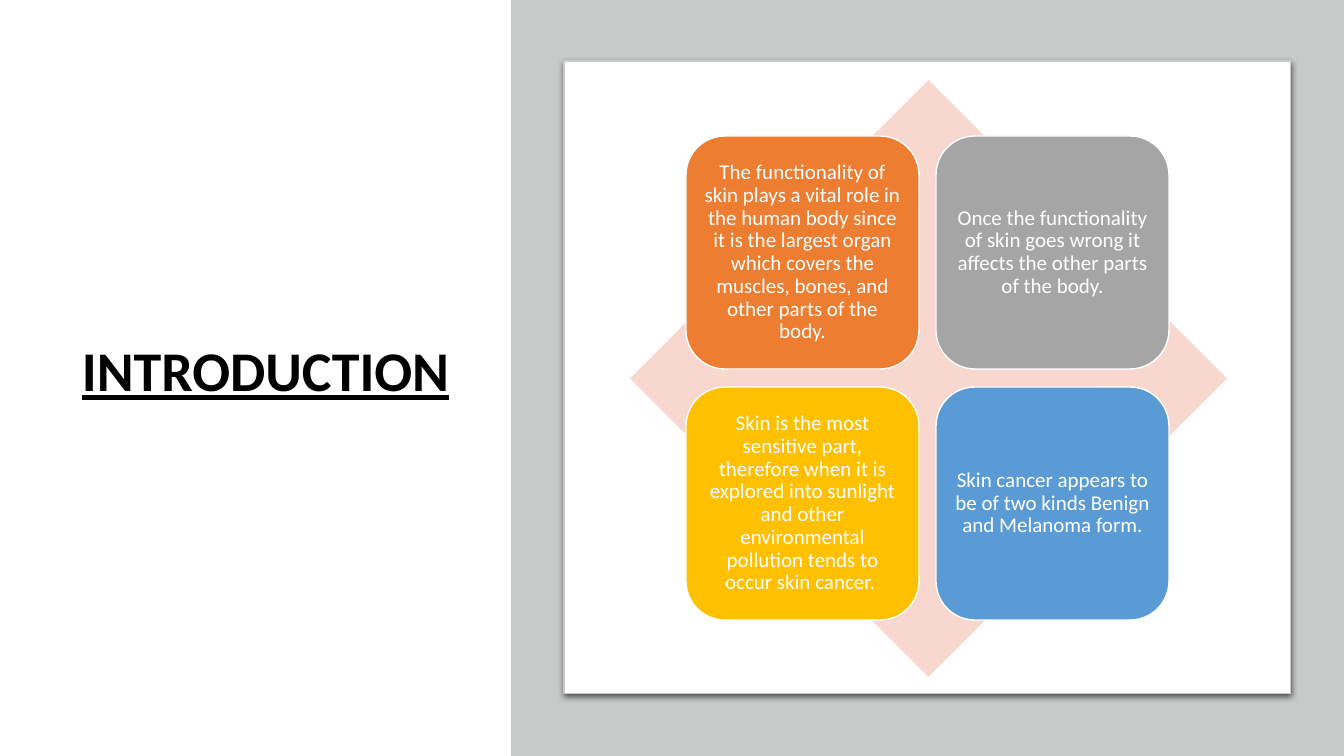
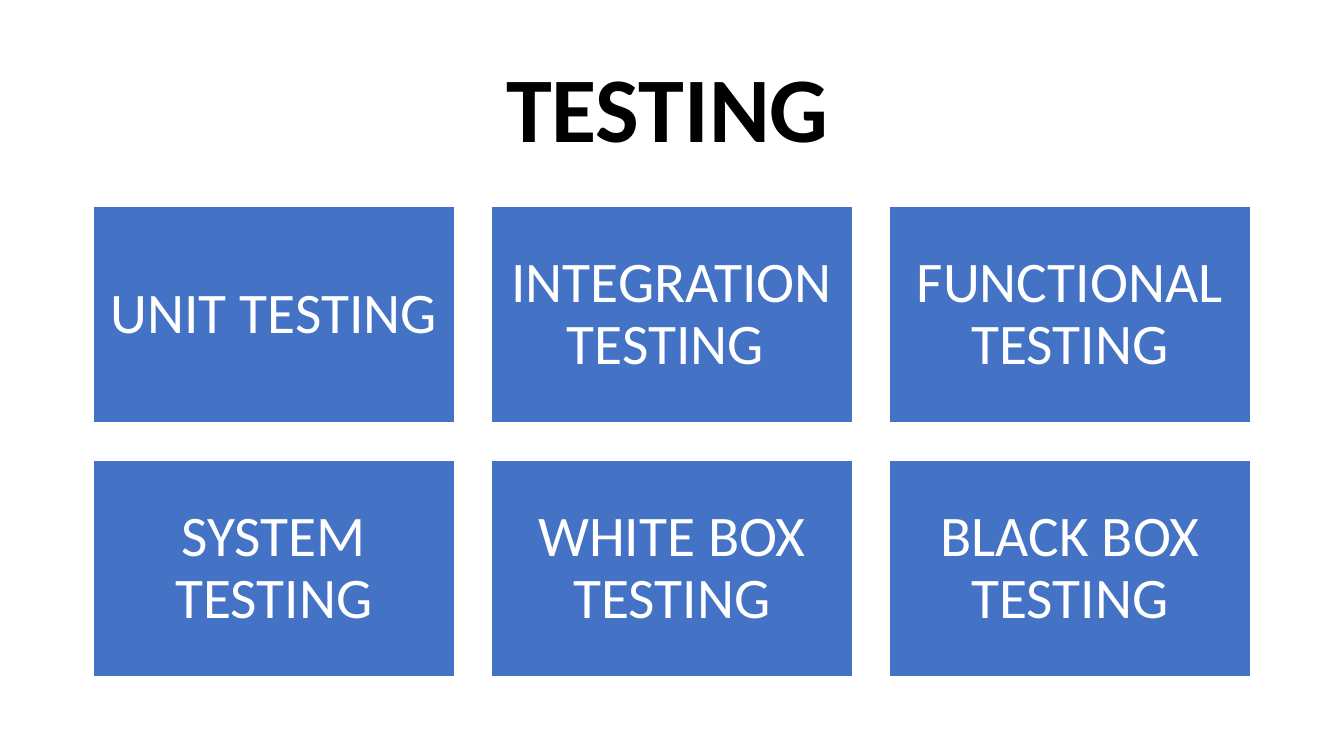
from dataclasses import dataclass

from lxml import etree
from pptx import Presentation
from pptx import util as u
from pptx.dml.color import RGBColor
from pptx.enum import shapes, text
from pptx.oxml import ns

SCALE = 12192000 / 1344
MARGINS = ("margin_left", "margin_top", "margin_right", "margin_bottom")


@dataclass(frozen=True)
class Theme:
    font: str = "Calibri"
    ink: str = "000000"
    paper: str = "FFFFFF"
    band: str = "C8CACA"
    diamond: str = "F8D7CE"
    orange: str = "ED7D31"
    grey: str = "A5A5A5"
    gold: str = "FFC000"
    sky: str = "5B9BD5"
    blue: str = "4472C4"
    side_title: int = 40
    top_title: int = 66
    point: int = 15
    tile: int = 41
    leading: float = 0.9


theme = Theme()
kinds = shapes.MSO_SHAPE
align = text.PP_ALIGN


def draw(page, kind, place, fill, line=None, weight=1):
    box = page.shapes.add_shape(kind, *[u.Emu(round(n * SCALE)) for n in place])
    box.shadow.inherit = False
    box.fill.solid()
    box.fill.fore_color.rgb = RGBColor.from_string(fill)
    if line:
        box.line.color.rgb = RGBColor.from_string(line)
        box.line.width = u.Pt(weight)
    else:
        box.line.fill.background()
    return box


def write(box, words, color, inset, alignment, **font_format):
    frame = box.text_frame
    frame_format = {"word_wrap": True, "vertical_anchor": text.MSO_ANCHOR.MIDDLE}
    frame_format.update(dict.fromkeys(MARGINS, u.Emu(round(inset * SCALE))))
    para = frame.paragraphs[0]
    span = para.add_run()
    span.text = words
    span.font.color.rgb = RGBColor.from_string(color)
    for target, values in (
        (frame, frame_format),
        (para, {"alignment": alignment, "line_spacing": theme.leading}),
        (span.font, {"name": theme.font, **font_format}),
    ):
        for name, value in values.items():
            setattr(target, name, value)


deck = Presentation()
deck.slide_width = u.Emu(round(1344 * SCALE))
deck.slide_height = u.Emu(round(756 * SCALE))
intro, testing = [deck.slides.add_slide(deck.slide_layouts[6]) for _ in range(2)]

titles = (
    (intro, "INTRODUCTION", (72, 70, 404, 607), align.LEFT, theme.side_title, True),
    (testing, "TESTING", (88, 40, 1159, 146), align.CENTER, theme.top_title, False),
)
for page, words, place, alignment, size, underline in titles:
    box = page.shapes.add_textbox(*[u.Emu(round(n * SCALE)) for n in place])
    write(box, words, theme.ink, 10, alignment,
          size=u.Pt(size), bold=True, underline=underline)

draw(intro, kinds.RECTANGLE, (511, 0, 833, 756), theme.band)
card = draw(intro, kinds.RECTANGLE, (564, 61, 727, 633), theme.paper, theme.band, 0.75)
effects = card._element.spPr.find(ns.qn("a:effectLst"))
shadow = etree.SubElement(
    effects, ns.qn("a:outerShdw"),
    blurRad=str(u.Pt(4.5)), dist=str(u.Pt(1.5)), dir="5400000", rotWithShape="0",
)
shade = etree.SubElement(shadow, ns.qn("a:srgbClr"), val=theme.ink)
etree.SubElement(shade, ns.qn("a:alpha"), val="63000")
draw(intro, kinds.DIAMOND, (630, 80, 597, 597), theme.diamond)

points = (
    (theme.orange, "The functionality of skin plays a vital role in the human body since "
                   "it is the largest organ which covers the muscles, bones, and other "
                   "parts of the body."),
    (theme.grey, "Once the functionality of skin goes wrong it affects the other parts "
                 "of the body."),
    (theme.gold, "Skin is the most sensitive part, therefore when it is explored into "
                 "sunlight and other environmental pollution tends to occur skin cancer. "),
    (theme.sky, "Skin cancer appears to be of two kinds Benign and Melanoma form."),
)
for index, (fill, words) in enumerate(points):
    row, column = divmod(index, 2)
    place = (686 + column * 250, 136 + row * 251, 233, 233)
    box = draw(intro, kinds.ROUNDED_RECTANGLE, place, fill, theme.paper)
    write(box, words, theme.paper, 6, align.CENTER, size=u.Pt(theme.point))

tests = ("UNIT TESTING", "INTEGRATION TESTING ", "FUNCTIONAL TESTING",
         "SYSTEM TESTING", "WHITE BOX TESTING", "BLACK BOX TESTING")
for index, words in enumerate(tests):
    row, column = divmod(index, 3)
    place = (93 + column * 398, 206 + row * 254, 362, 217)
    box = draw(testing, kinds.RECTANGLE, place, theme.blue, theme.paper)
    write(box, words, theme.paper, 16, align.CENTER, size=u.Pt(theme.tile))

deck.save("out.pptx")
